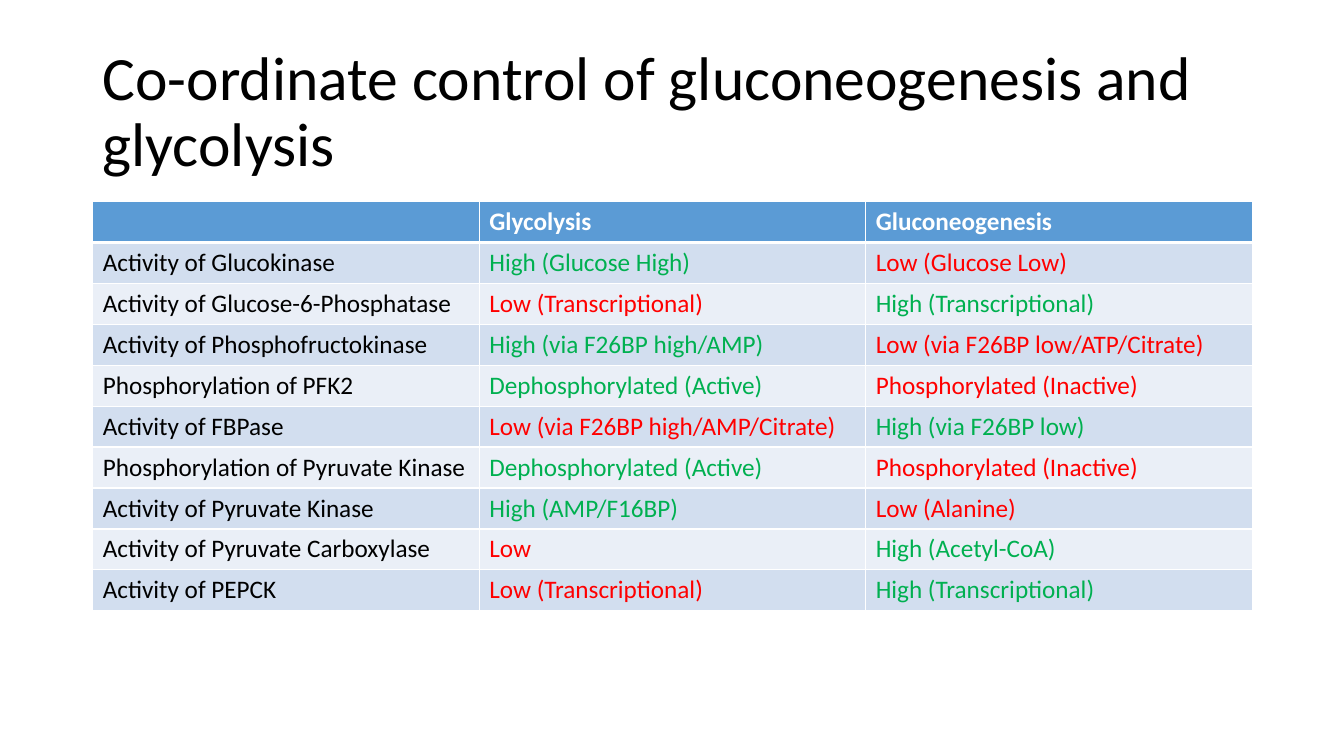
from dataclasses import dataclass

from lxml.etree import SubElement
from pptx import Presentation
from pptx.dml.color import RGBColor
from pptx.enum.text import MSO_ANCHOR
from pptx.oxml.ns import qn
from pptx.util import Inches, Pt


@dataclass(frozen=True)
class Theme:
    font: str = "Calibri"
    title_size: int = 44
    table_size: int = 18
    text: str = "000000"
    white: str = "FFFFFF"
    header: str = "5B9BD5"
    bands: tuple = ("D2DEEF", "EAEFF7")
    active: str = "00B050"
    inactive: str = "FF0000"
    thin: int = 1
    thick: int = 3


THEME = Theme()
TITLE = "Co-ordinate control of gluconeogenesis and glycolysis"
ROWS = [
    ("", "Glycolysis", "Gluconeogenesis"),
    ("Activity of Glucokinase", "High (Glucose High)", "Low (Glucose Low)"),
    ("Activity of Glucose-6-Phosphatase", "Low (Transcriptional)", "High (Transcriptional)"),
    ("Activity of Phosphofructokinase", "High (via F26BP high/AMP)", "Low (via F26BP low/ATP/Citrate)"),
    ("Phosphorylation of PFK2", "Dephosphorylated (Active)", "Phosphorylated (Inactive)"),
    ("Activity of FBPase", "Low (via F26BP high/AMP/Citrate)", "High (via F26BP low)"),
    ("Phosphorylation of Pyruvate Kinase", "Dephosphorylated (Active)", "Phosphorylated (Inactive)"),
    ("Activity of Pyruvate Kinase", "High (AMP/F16BP)", "Low (Alanine)"),
    ("Activity of Pyruvate Carboxylase", "Low", "High (Acetyl-CoA)"),
    ("Activity of PEPCK", "Low (Transcriptional)", "High (Transcriptional)"),
]


def style_font(font, size, color, bold=False):
    font.name = THEME.font
    font.size = Pt(size)
    font.bold = bold
    font.color.rgb = RGBColor.from_string(color)


def add_title(page, left, top, width, height):
    box = page.shapes.add_textbox(left, top, width, height)
    frame = box.text_frame
    frame.word_wrap = True
    frame.vertical_anchor = MSO_ANCHOR.MIDDLE
    frame.text = TITLE
    para = frame.paragraphs[0]
    para.line_spacing = 0.9
    style_font(para.runs[0].font, THEME.title_size, THEME.text)


def text_color(row, column, text):
    """Green marks an enzyme that is switched on, red one that is switched off."""
    if row == 0:
        return THEME.white
    if column == 0:
        return THEME.text
    return THEME.active if text.startswith(("High", "Dephos")) else THEME.inactive


def set_borders(cell, row):
    """Draw white cell borders, with a thick rule under the header row."""
    properties = cell._tc.get_or_add_tcPr()
    widths = {
        "a:lnL": THEME.thin,
        "a:lnR": THEME.thin,
        "a:lnT": THEME.thick if row == 1 else THEME.thin,
        "a:lnB": THEME.thick if row == 0 else THEME.thin,
    }
    for side, width in widths.items():
        line = SubElement(properties, qn(side), w=str(Pt(width)))
        fill = SubElement(line, qn("a:solidFill"))
        SubElement(fill, qn("a:srgbClr"), val=THEME.white)


def add_control_table(page, left, top, width, height):
    row_count, column_count = len(ROWS), len(ROWS[0])
    table = page.shapes.add_table(row_count, column_count, left, top, width, height).table
    for row, texts in enumerate(ROWS):
        background = THEME.bands[(row - 1) % 2] if row else THEME.header
        for column, text in enumerate(texts):
            cell = table.cell(row, column)
            set_borders(cell, row)
            cell.fill.solid()
            cell.fill.fore_color.rgb = RGBColor.from_string(background)
            cell.text_frame.text = text
            style_font(cell.text_frame.paragraphs[0].font, THEME.table_size,
                       THEME.text, row == 0)
            for span in cell.text_frame.paragraphs[0].runs:
                style_font(span.font, THEME.table_size,
                           text_color(row, column, text), row == 0)


def main():
    deck = Presentation()
    deck.slide_width, deck.slide_height = Inches(13.33), Inches(7.5)
    page = deck.slides.add_slide(deck.slide_layouts[6])
    left, width = Inches(0.92), Inches(11.5)
    add_title(page, left, Inches(0.4), width, Inches(1.45))
    add_control_table(page, left, Inches(2), width, Inches(4.06))
    deck.save("out.pptx")


if __name__ == "__main__":
    main()
